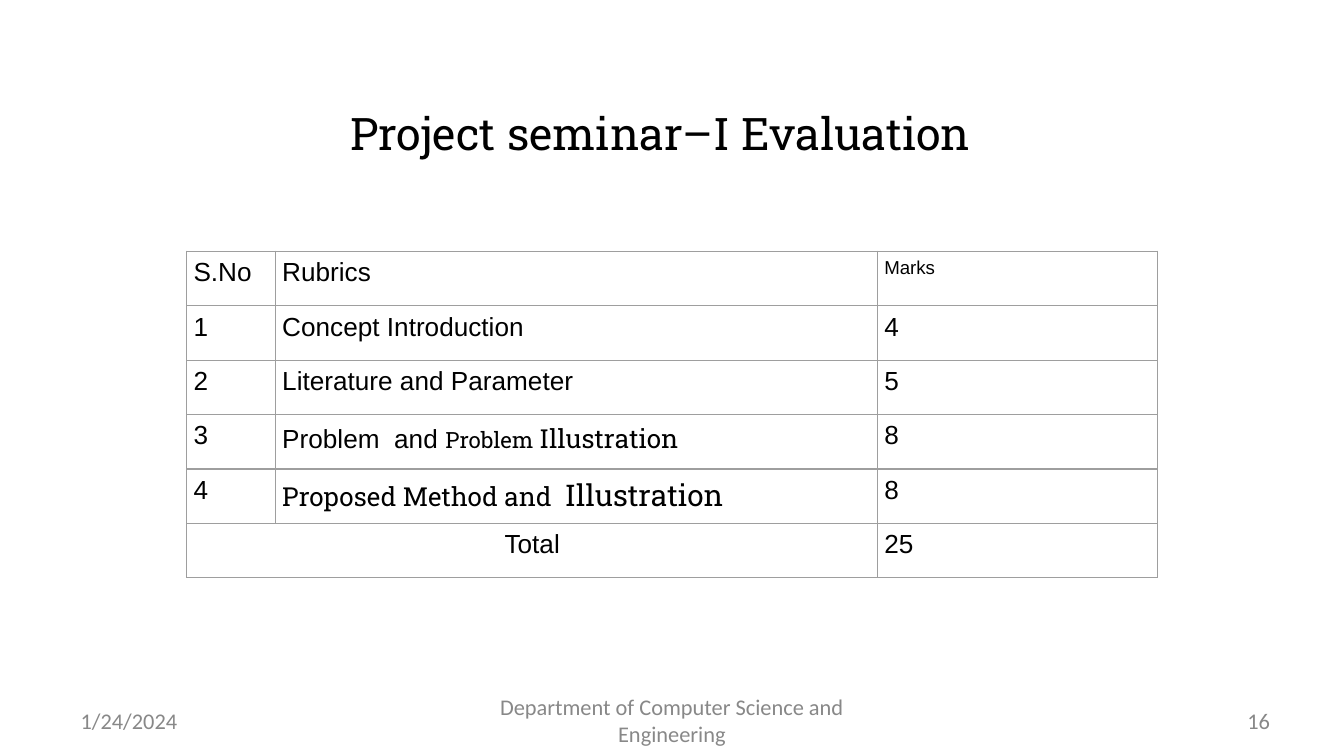
import pptx
import pptx.util
import pptx.dml.color
import pptx.enum.text
import pptx.oxml
import pptx.oxml.ns

Inches = pptx.util.Inches
ALIGN = pptx.enum.text.PP_ALIGN
ANCHOR = pptx.enum.text.MSO_ANCHOR

SLIDE_W = 10
SLIDE_H = SLIDE_W * 9 / 16
COLORS = {"text": "000000", "footer": "888888", "border": "9E9E9E"}
BODY, SLAB, FOOT = "Arial", "Roboto Slab", "Calibri"
PAD = Inches(0.05)
MARGINS = {f"margin_{side}": PAD for side in ("left", "top", "right", "bottom")}

COL_WIDTHS = [0.66, 4.48, 2.08]
# Each cell is a list of runs: text, size, font
ROWS = [
    [[("S.No", 14, BODY)], [("Rubrics", 14, BODY)], [("Marks", 10, BODY)]],
    [[("1", 14, BODY)], [("Concept Introduction", 14, BODY)], [("4", 14, BODY)]],
    [[("2", 14, BODY)], [("Literature and Parameter", 14, BODY)], [("5", 14, BODY)]],
    [[("3", 14, BODY)],
     [("Problem  and ", 14, BODY), ("Problem ", 12, SLAB), ("Illustration", 14, SLAB)],
     [("8", 14, BODY)]],
    [[("4", 14, BODY)],
     [("Proposed Method and  ", 14, SLAB), ("Illustration", 16, SLAB)],
     [("8", 14, BODY)]],
    [[("Total", 14, BODY)], [], [("25", 14, BODY)]],
]


def set_attrs(obj, values):
    for name, value in values.items():
        setattr(obj, name, value)


def write_runs(p, runs, color, align=ALIGN.LEFT):
    p.alignment = align
    for text, size, font in runs:
        r = p.add_run()
        r.text = text
        set_attrs(r.font, {"size": pptx.util.Pt(size), "name": font, "bold": False})
        r.font.color.rgb = pptx.dml.color.RGBColor.from_string(COLORS[color])


def add_text(slide, box, runs, color, align, wrap=True):
    tf = slide.shapes.add_textbox(*map(Inches, box)).text_frame
    set_attrs(tf, {"word_wrap": wrap, "vertical_anchor": ANCHOR.MIDDLE, **MARGINS})
    write_runs(tf.paragraphs[0], runs, color, align)


def set_borders(cell):
    tc_pr = cell._tc.get_or_add_tcPr()
    for i, side in enumerate(("lnL", "lnR", "lnT", "lnB")):
        line = pptx.oxml.parse_xml(
            f'<a:{side} {pptx.oxml.ns.nsdecls("a")} w="{pptx.util.Pt(0.75)}">'
            f'<a:solidFill><a:srgbClr val="{COLORS["border"]}"/></a:solidFill></a:{side}>')
        tc_pr.insert(i, line)


def add_title(slide, box):
    add_text(slide, box, [("Project seminar–I Evaluation", 24, SLAB)], "text", ALIGN.CENTER)


def add_rubric_table(slide, box):
    frame = slide.shapes.add_table(len(ROWS), len(COL_WIDTHS), *map(Inches, box))
    table = frame.table
    set_attrs(table, {"first_row": False, "horz_banding": False})
    for column, width in zip(table.columns, COL_WIDTHS):
        column.width = Inches(width)
    for row in table.rows:
        row.height = Inches(box[3] / len(ROWS))

    # The total label spans the number and rubric columns
    last = len(ROWS) - 1
    table.cell(last, 0).merge(table.cell(last, 1))

    for i, row in enumerate(ROWS):
        for j, runs in enumerate(row):
            cell = table.cell(i, j)
            set_attrs(cell, MARGINS)
            cell.fill.background()
            set_borders(cell)
            align = ALIGN.CENTER if (i, j) == (last, 0) else ALIGN.LEFT
            write_runs(cell.text_frame.paragraphs[0], runs, "text", align)


def add_footer(slide, box):
    left, top, width, height = box
    line_h = 0.27
    line_top = top + (height - line_h) / 2
    # Date, department and page number share one centre line
    parts = [
        ("1/24/2024", (left, line_top, 2.23, line_h), ALIGN.LEFT, True),
        ("Department of Computer Science and Engineering",
         (left + 2.92, top, 3.06, height), ALIGN.CENTER, True),
        ("16", (left + width - 0.29, line_top, 0.29, line_h), ALIGN.RIGHT, False),
    ]
    for text, part_box, align, wrap in parts:
        add_text(slide, part_box, [(text, 12, FOOT)], "footer", align, wrap)


def main():
    prs = pptx.Presentation()
    set_attrs(prs, {"slide_width": Inches(SLIDE_W), "slide_height": Inches(SLIDE_H)})
    slide = prs.slides.add_slide(prs.slide_layouts[6])
    add_title(slide, (1.57, 0.64, 6.69, 0.69))
    add_rubric_table(slide, (1.39, 1.87, sum(COL_WIDTHS), 2.43))
    add_footer(slide, (0.55, 5.12, 8.95, 0.48))
    prs.save("out.pptx")


if __name__ == "__main__":
    main()
